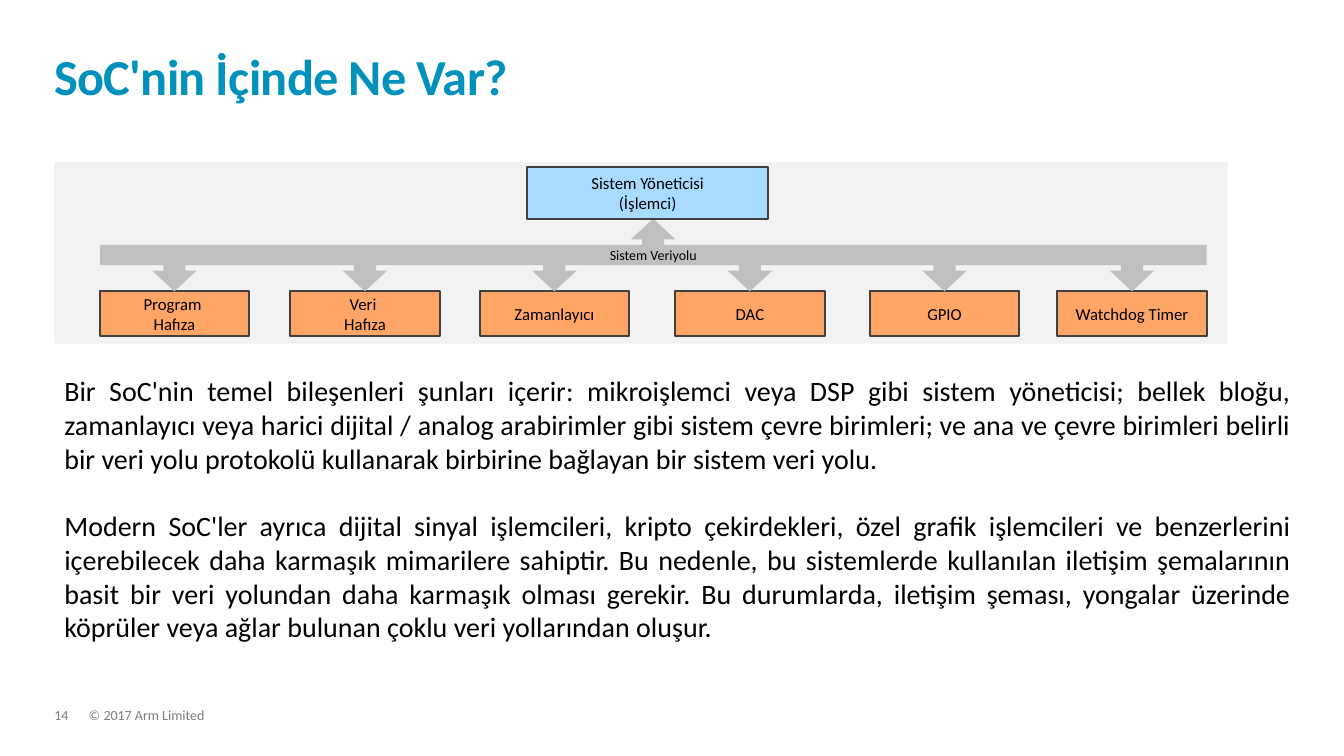
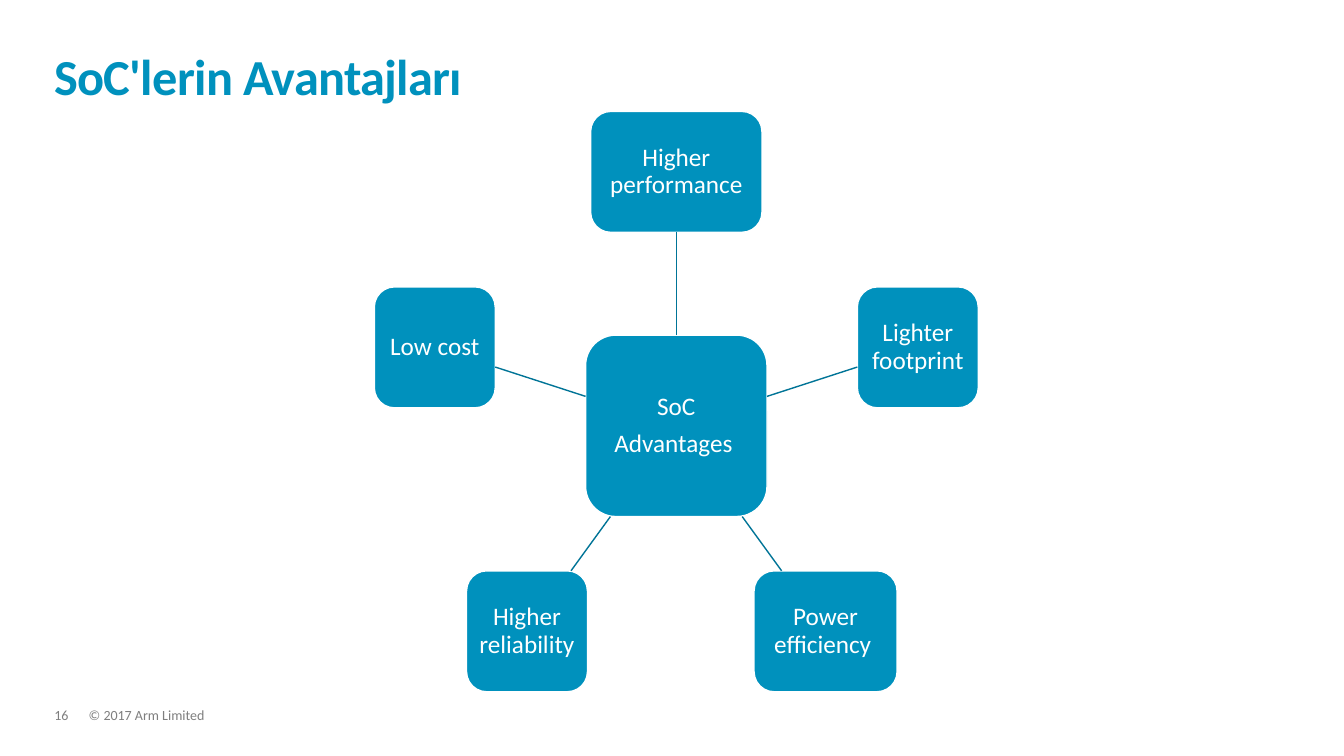
from dataclasses import dataclass
from math import cos, radians, sin

from lxml.etree import SubElement
from pptx import Presentation
from pptx.dml.color import RGBColor
from pptx.enum.shapes import MSO_CONNECTOR as Connector, MSO_SHAPE as Preset
from pptx.enum.text import MSO_ANCHOR as Anchor, MSO_AUTO_SIZE as AutoSize, PP_ALIGN as Align
from pptx.oxml.ns import qn
from pptx.shapes.autoshape import Shape
from pptx.slide import Slide
from pptx.text.text import TextFrame
from pptx.util import Pt

FONT = "Calibri"
ACCENT = "0091BD"
SPOKE = "007497"
WHITE = "FFFFFF"
BLACK = "000000"
FOOTER_GRAY = "7F7F7F"
PANEL = "F2F2F2"
BUS = "BFBFBF"
OUTLINE = "404040"
PROCESSOR = "A8DBFF"
PERIPHERAL = "FFA666"

MARGIN = 38.9
ARROW_WIDTH, ARROW_HEIGHT = 31.7, 29.5
PERIPHERAL_TOP, PERIPHERAL_WIDTH, PERIPHERAL_HEIGHT = 208.1, 106.6, 31.7
HUB_X, HUB_Y, HUB_SIZE = 483.1, 304.2, 129.6
ORBIT, NODE_HEIGHT = 181.4, 86.4


@dataclass(frozen=True)
class Box:
    left: float
    top: float
    width: float
    height: float


@dataclass(frozen=True)
class TextStyle:
    size: float
    color: str
    align: Align = Align.LEFT
    bold: bool = False
    line_spacing: float = 1.0
    space_before: float = 0
    space_after: float = 0


@dataclass(frozen=True)
class Peripheral:
    left: float
    lines: tuple[str, ...]


@dataclass(frozen=True)
class Node:
    text: str
    width: float


TITLE_STYLE = TextStyle(36, ACCENT, bold=True, line_spacing=0.85)
FOOTER_STYLE = TextStyle(10, FOOTER_GRAY, line_spacing=0.9, space_after=6)
BLOCK_STYLE = TextStyle(12, BLACK, Align.CENTER)
BUS_STYLE = TextStyle(10, BLACK, Align.CENTER)
BODY_STYLE = TextStyle(20, BLACK, Align.JUSTIFY, space_before=24.4)
NODE_STYLE = TextStyle(18, WHITE, Align.CENTER, line_spacing=0.9, space_after=6.3)

PERIPHERALS = (
    Peripheral(71.3, ("Program ", "Hafıza")),
    Peripheral(207.4, ("Veri ", "Hafıza")),
    Peripheral(342.7, ("Zamanlayıcı",)),
    Peripheral(482.4, ("DAC",)),
    Peripheral(621.4, ("GPIO",)),
    Peripheral(755.3, ("Watchdog Timer",)),
)
NODES = (
    Node("Higher performance", 122.4),
    Node("Lighter footprint", 86.4),
    Node("Power efficiency ", 102.2),
    Node("Higher reliability", 86.4),
    Node("Low cost", 86.4),
)
BODY = (
    "Bir SoC'nin temel bileşenleri şunları içerir: mikroişlemci veya DSP gibi sistem yöneticisi; "
    "bellek bloğu, zamanlayıcı veya harici dijital / analog arabirimler gibi sistem çevre birimleri; "
    "ve ana ve çevre birimleri belirli bir veri yolu protokolü kullanarak birbirine bağlayan bir "
    "sistem veri yolu.",
    "Modern SoC'ler ayrıca dijital sinyal işlemcileri, kripto çekirdekleri, özel grafik işlemcileri "
    "ve benzerlerini içerebilecek daha karmaşık mimarilere sahiptir. Bu nedenle, bu sistemlerde "
    "kullanılan iletişim şemalarının basit bir veri yolundan daha karmaşık olması gerekir. Bu "
    "durumlarda, iletişim şeması, yongalar üzerinde köprüler veya ağlar bulunan çoklu veri "
    "yollarından oluşur.",
)


def rgb(value: str) -> RGBColor:
    return RGBColor.from_string(value)


def place(box: Box) -> tuple[Pt, Pt, Pt, Pt]:
    return Pt(box.left), Pt(box.top), Pt(box.width), Pt(box.height)


def set_margins(frame: TextFrame, margin: float) -> None:
    frame.margin_left = frame.margin_right = Pt(margin)
    frame.margin_top = frame.margin_bottom = Pt(margin)


def write(frame: TextFrame, lines: tuple[str, ...], style: TextStyle) -> None:
    for index, line in enumerate(lines):
        paragraph = frame.add_paragraph() if index else frame.paragraphs[0]
        paragraph.alignment = style.align
        paragraph.line_spacing = style.line_spacing
        paragraph.space_before = Pt(style.space_before if index else 0)
        paragraph.space_after = Pt(style.space_after)
        run = paragraph.add_run()
        run.text = line
        run.font.name = FONT
        run.font.size = Pt(style.size)
        run.font.bold = style.bold
        run.font.color.rgb = rgb(style.color)


def add_text(slide: Slide, box: Box, lines: tuple[str, ...], style: TextStyle) -> TextFrame:
    frame = slide.shapes.add_textbox(*place(box)).text_frame
    frame.word_wrap = True
    write(frame, lines, style)
    return frame


def add_block(slide: Slide, preset: Preset, box: Box, fill: str,
              line: str | None = None, line_width: float = 1) -> Shape:
    shape = slide.shapes.add_shape(preset, *place(box))
    shape.shadow.inherit = False
    shape.fill.solid()
    shape.fill.fore_color.rgb = rgb(fill)
    if line:
        shape.line.color.rgb = rgb(line)
        shape.line.width = Pt(line_width)
    else:
        shape.line.fill.background()
    return shape


def label_block(shape: Shape, lines: tuple[str, ...], style: TextStyle) -> None:
    shape.text_frame.word_wrap = False
    shape.text_frame.vertical_anchor = Anchor.MIDDLE
    write(shape.text_frame, lines, style)


def add_base_slide(presentation: Presentation, title: str, number: int) -> Slide:
    slide = presentation.slides.add_slide(presentation.slide_layouts[5])
    shape = slide.shapes.title
    shape.left, shape.top, shape.width, shape.height = place(Box(MARGIN, 23, 880.6, 52.6))
    frame = shape.text_frame
    frame.auto_size = AutoSize.NONE
    frame.word_wrap = True
    frame.vertical_anchor = Anchor.BOTTOM
    set_margins(frame, 0)
    write(frame, (title,), TITLE_STYLE)
    frame.paragraphs[0].runs[0].font._element.set("spc", "-50")
    for left, width, text in ((63.4, 657.4, "© 2017 Arm Limited"), (MARGIN, 24.5, str(number))):
        set_margins(add_text(slide, Box(left, 506.2, width, 10.8), (text,), FOOTER_STYLE), 0)
    return slide


def add_arrow(slide: Slide, preset: Preset, center: float, top: float) -> None:
    add_block(slide, preset, Box(center - ARROW_WIDTH / 2, top, ARROW_WIDTH, ARROW_HEIGHT), BUS)


def build_bus_slide(presentation: Presentation) -> None:
    slide = add_base_slide(presentation, "SoC'nin İçinde Ne Var?", 14)
    add_block(slide, Preset.RECTANGLE, Box(MARGIN, 115.9, 838.1, 129.6), PANEL)
    add_arrow(slide, Preset.UP_ARROW, 466.6, 156.2)
    processor = add_block(slide, Preset.RECTANGLE, Box(376.6, 119.5, 172.1, 36.7),
                          PROCESSOR, OUTLINE, 1.5)
    label_block(processor, ("Sistem Yöneticisi", "(İşlemci)"), BLOCK_STYLE)
    for peripheral in PERIPHERALS:
        box = Box(peripheral.left, PERIPHERAL_TOP, PERIPHERAL_WIDTH, PERIPHERAL_HEIGHT)
        block = add_block(slide, Preset.RECTANGLE, box, PERIPHERAL, OUTLINE, 1.5)
        label_block(block, peripheral.lines, BLOCK_STYLE)
    bus = add_block(slide, Preset.RECTANGLE, Box(71.3, 175, 790.6, 14.4), BUS)
    label_block(bus, ("Sistem Veriyolu",), BUS_STYLE)
    for peripheral in PERIPHERALS:
        add_arrow(slide, Preset.DOWN_ARROW, peripheral.left + PERIPHERAL_WIDTH / 2,
                  PERIPHERAL_TOP - ARROW_HEIGHT)
    add_text(slide, Box(MARGIN, 263.5, 890.6, 200.9), BODY, BODY_STYLE)


def add_node(slide: Slide, x: float, y: float, width: float, height: float,
             lines: tuple[str, ...]) -> Shape:
    box = Box(x - width / 2, y - height / 2, width, height)
    shape = add_block(slide, Preset.ROUNDED_RECTANGLE, box, ACCENT, WHITE)
    shape.text_frame.word_wrap = True
    shape.text_frame.vertical_anchor = Anchor.MIDDLE
    set_margins(shape.text_frame, 3.6)
    write(shape.text_frame, lines, NODE_STYLE)
    return shape


def edge_distance(width: float, height: float, across: float, down: float) -> float:
    return min(size / 2 / abs(part) for size, part in ((width, across), (height, down))
               if abs(part) > 0.001)


def build_radial_slide(presentation: Presentation) -> None:
    slide = add_base_slide(presentation, "SoC'lerin Avantajları", 16)
    hub = add_node(slide, HUB_X, HUB_Y, HUB_SIZE, HUB_SIZE, ("SoC", "Advantages "))
    for index, node in enumerate(NODES):
        angle = radians(index * 360 / len(NODES) - 90)
        across, down = cos(angle), sin(angle)
        shape = add_node(slide, HUB_X + ORBIT * across, HUB_Y + ORBIT * down,
                         node.width, NODE_HEIGHT, (node.text,))
        start = edge_distance(HUB_SIZE, HUB_SIZE, across, down)
        end = ORBIT - edge_distance(node.width, NODE_HEIGHT, across, down)
        spoke = slide.shapes.add_connector(
            Connector.STRAIGHT,
            Pt(HUB_X + start * across), Pt(HUB_Y + start * down),
            Pt(HUB_X + end * across), Pt(HUB_Y + end * down))
        spoke.line.color.rgb = rgb(SPOKE)
        spoke.line.width = Pt(1)
        SubElement(spoke._element.spPr, qn("a:effectLst"))
        if index == 0:
            spoke.begin_connect(hub, 0)
            spoke.end_connect(shape, 2)


def main() -> None:
    presentation = Presentation()
    presentation.slide_width, presentation.slide_height = Pt(960), Pt(540)
    build_bus_slide(presentation)
    build_radial_slide(presentation)
    presentation.save("out.pptx")


if __name__ == "__main__":
    main()
